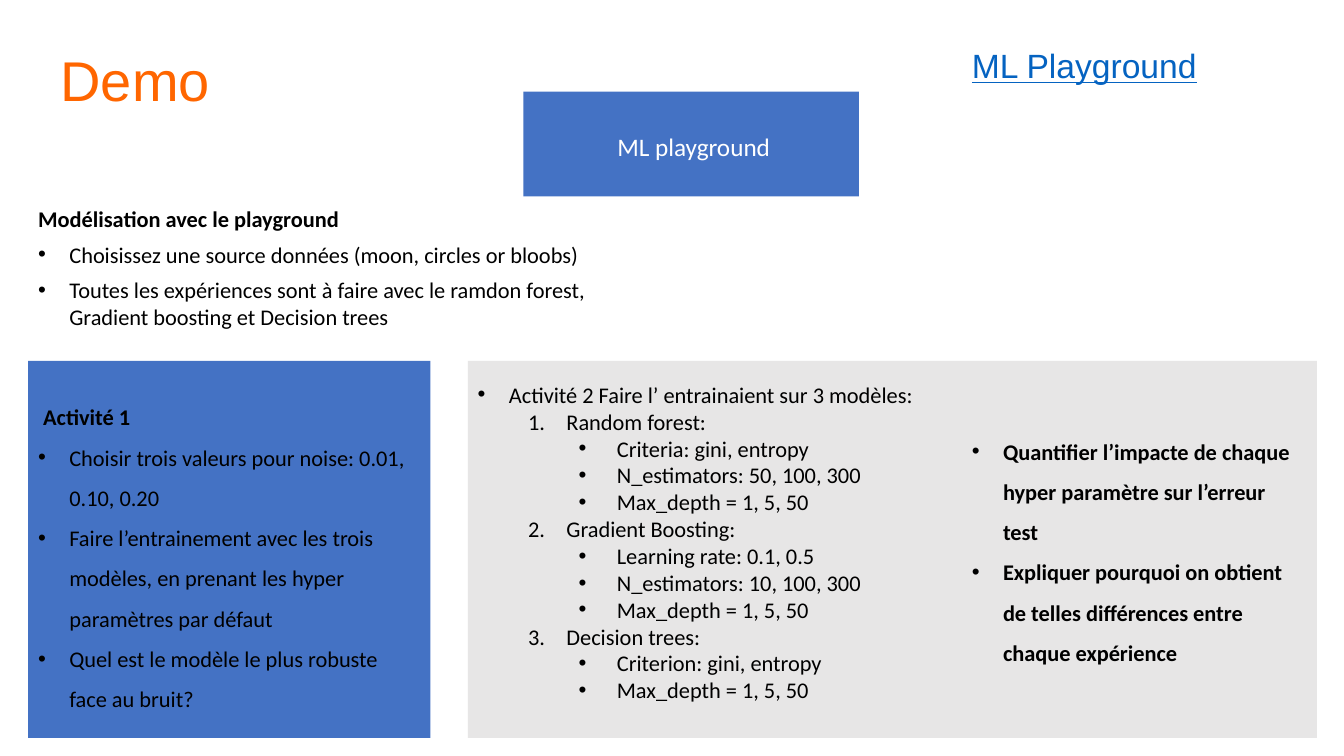
from lxml.etree import SubElement
from pptx import Presentation
from pptx.dml.color import RGBColor
from pptx.enum.shapes import MSO_SHAPE
from pptx.enum.text import MSO_ANCHOR, MSO_AUTO_SIZE, PP_ALIGN
from pptx.oxml.ns import qn
from pptx.util import Inches, Pt

COLORS = {
    "orange": "FF6600", "blue": "4472C4", "grey": "E7E6E6",
    "link": "0563C1", "black": "000000", "white": "FFFFFF",
}
# Left margin and hanging indent of each list level
INDENTS = [(0.31, -0.31), (0.88, -0.38), (1.38, -0.38)]


def set_bullet(paragraph, level, numbered=False):
    paragraph.level = level
    properties = paragraph._p.get_or_add_pPr()
    margin, indent = INDENTS[level]
    properties.set("marL", str(Inches(margin)))
    properties.set("indent", str(Inches(indent)))
    SubElement(properties, qn("a:buFont"), typeface="Calibri" if numbered else "Arial")
    if numbered:
        SubElement(properties, qn("a:buAutoNum"), type="arabicPeriod")
    else:
        SubElement(properties, qn("a:buChar"), char="•")


def add_text(box, lines, size=16, color="black", font="Calibri", spacing=None, before=0):
    """Add a text box; each line is (text, level, bold), level None for no bullet."""
    text_box = slide.shapes.add_textbox(*map(Inches, box))
    frame = text_box.text_frame
    frame.word_wrap = True
    for index, (text, level, bold) in enumerate(lines):
        paragraph = frame.paragraphs[0] if index == 0 else frame.add_paragraph()
        paragraph.text = text
        paragraph.space_before = Pt(before)
        if spacing:
            paragraph.line_spacing = spacing
        if level is not None:
            set_bullet(paragraph, level, numbered=level == 1)
        paragraph.font.name = font
        paragraph.font.size = Pt(size)
        paragraph.font.bold = bold
        paragraph.font.color.rgb = RGBColor.from_string(COLORS[color])
    return text_box


presentation = Presentation()
presentation.slide_width = Inches(13.33)
presentation.slide_height = Inches(7.5)
slide = presentation.slides.add_slide(presentation.slide_layouts[5])

# Title
title = slide.shapes.title
title.left, title.top = Inches(0.5), Inches(0.5)
title.width, title.height = Inches(4.5), Inches(0.8)
title.text_frame.text = "Demo"
title.text_frame.vertical_anchor = MSO_ANCHOR.TOP
title.text_frame.auto_size = MSO_AUTO_SIZE.NONE
heading = title.text_frame.paragraphs[0]
heading.alignment = PP_ALIGN.LEFT
heading.line_spacing = 0.85
heading.space_before = Pt(10)
heading.font.name = "Arial"
heading.font.size = Pt(40)
heading.font.color.rgb = RGBColor.from_string(COLORS["orange"])

# Coloured panels
for box, color in [
    ((4.64, 3.58, 8.42, 3.74), "grey"),
    ((0.28, 3.58, 3.99, 3.74), "blue"),
    ((5.19, 0.91, 3.33, 1.04), "blue"),
]:
    panel = slide.shapes.add_shape(MSO_SHAPE.RECTANGLE, *map(Inches, box))
    panel.shadow.inherit = False
    panel.fill.solid()
    panel.fill.fore_color.rgb = RGBColor.from_string(COLORS[color])
    panel.line.fill.background()

# Banner and introduction
banner = add_text((5.59, 1.25, 2.58, 0.71), [("ML playground", None, False)],
                  size=18, color="white")
banner.text_frame.paragraphs[0].alignment = PP_ALIGN.CENTER

add_text((0.28, 1.99, 6.29, 1.7), [
    ("Modélisation avec le playground", None, True),
    ("Choisissez une source données (moon, circles or bloobs)", 0, False),
    ("Toutes les expériences sont à faire avec le ramdon forest, "
     "Gradient boosting et Decision trees", 0, False),
], before=6)

# Questions on activity 2
add_text((9.54, 4.16, 3.36, 2.89), [
    ("Quantifier l’impacte de chaque hyper paramètre sur l’erreur test", 0, True),
    ("Expliquer pourquoi on obtient de telles différences entre chaque expérience", 0, True),
], spacing=1.5)

# Activity 2: models and their hyperparameters
models = {
    "Random forest:": [
        "Criteria: gini, entropy", "N_estimators: 50, 100, 300", "Max_depth = 1, 5, 50"],
    "Gradient Boosting:": [
        "Learning rate: 0.1, 0.5", "N_estimators: 10, 100, 300", "Max_depth = 1, 5, 50"],
    "Decision trees:": ["Criterion: gini, entropy", "Max_depth = 1, 5, 50"],
}
model_lines = [("Activité 2 Faire l’ entrainaient sur 3 modèles:", 0, False)]
for model, parameters in models.items():
    model_lines.append((model, 1, False))
    model_lines += [(parameter, 2, False) for parameter in parameters]
add_text((4.64, 3.73, 4.9, 3.33), model_lines)

# Activity 1
add_text((0.28, 3.82, 3.87, 3.29), [
    (" Activité 1", None, True),
    ("Choisir trois valeurs pour noise: 0.01, 0.10, 0.20", 0, False),
    ("Faire l’entrainement avec les trois modèles, en prenant les hyper "
     "paramètres par défaut", 0, False),
    ("Quel est le modèle le plus robuste face au bruit?", 0, False),
], spacing=1.5)

# Underlined reference
reference = add_text((9.54, 0.4, 3.23, 0.5), [("ML Playground", None, False)],
                     size=24, color="link", font="Arial")
reference.text_frame.paragraphs[0].font.underline = True

presentation.save("out.pptx")
